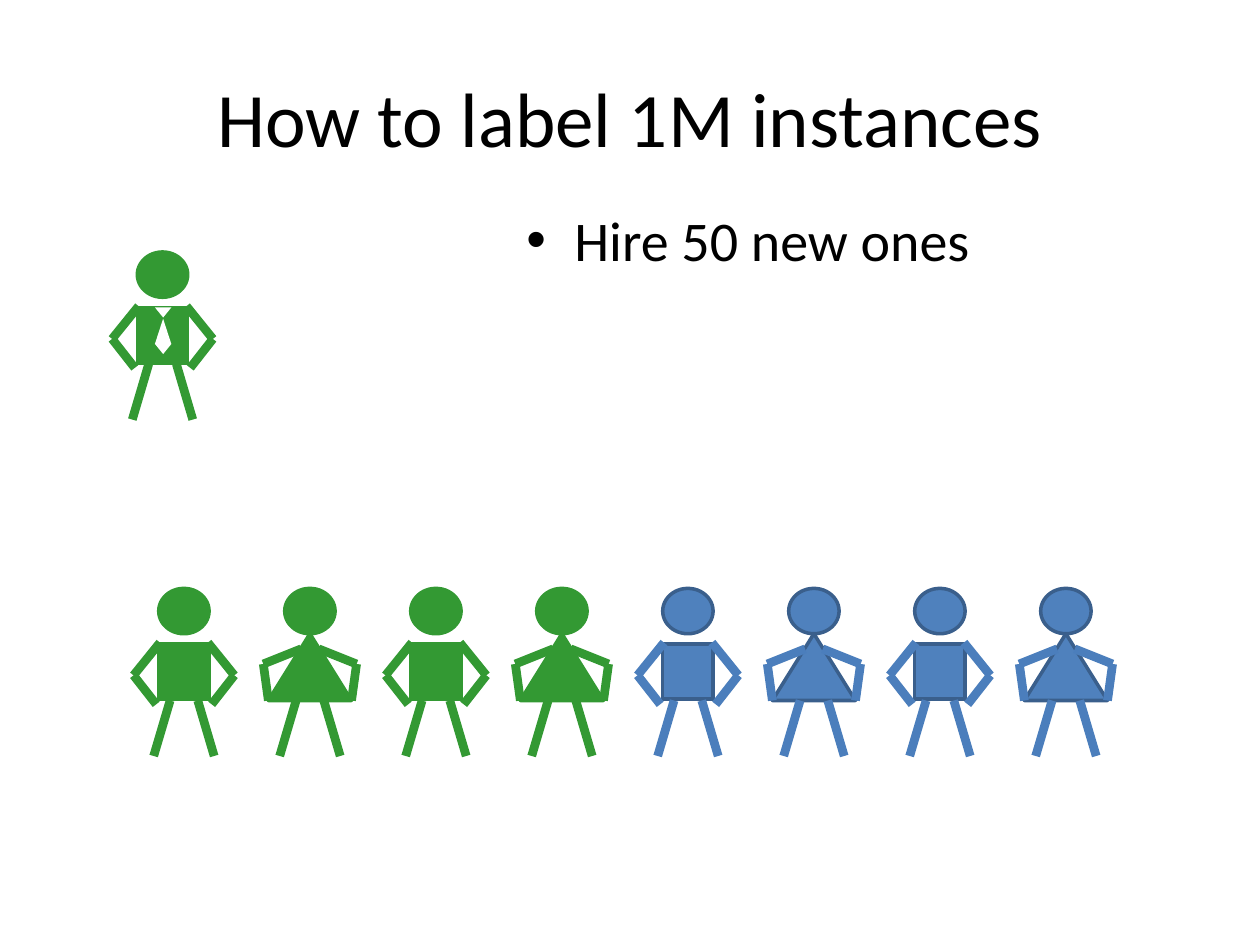
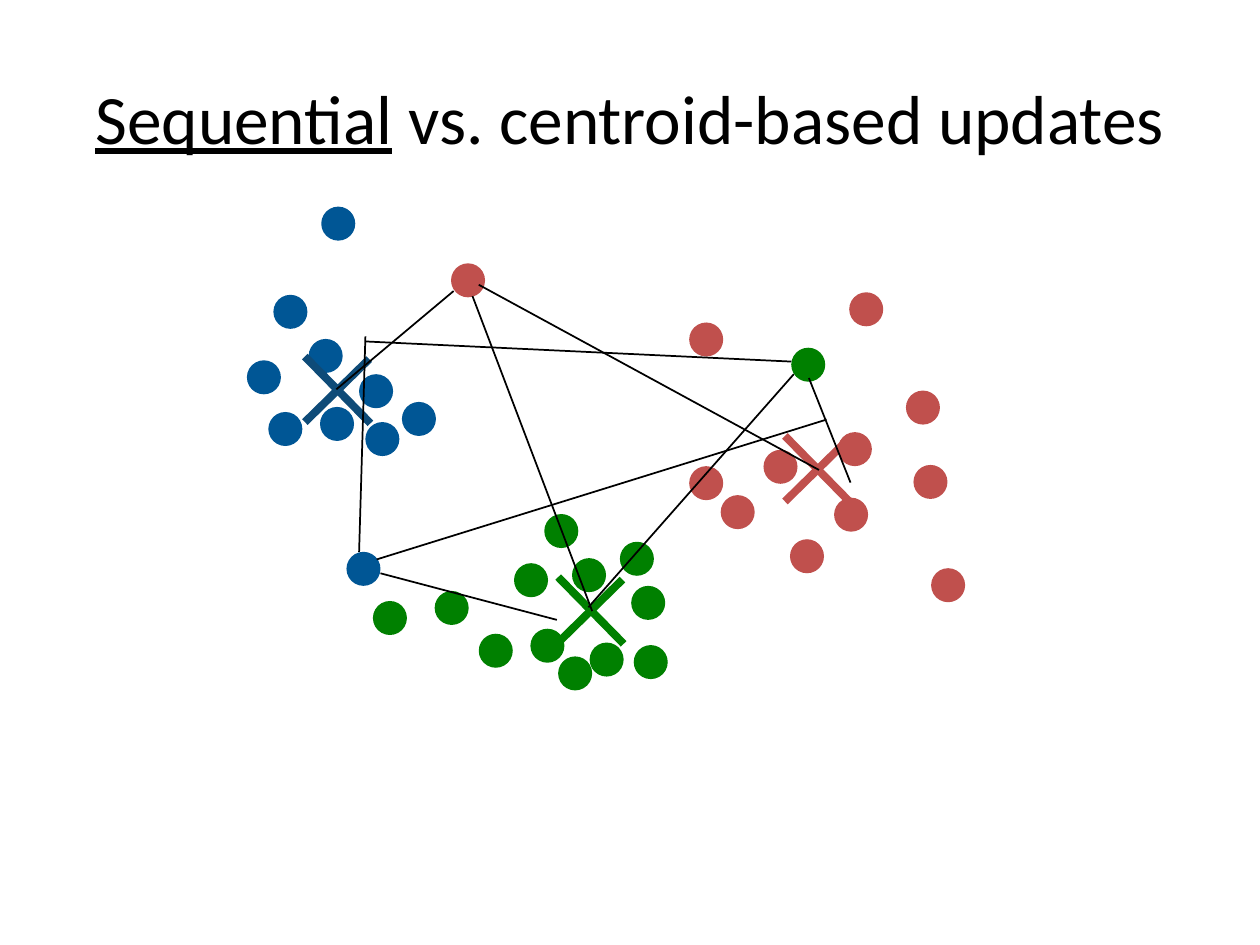
"""Build two slides: hiring labellers, and sequential updates of clusters."""
from lxml import etree
from pptx import Presentation
from pptx import util as u
from pptx.dml import color
from pptx.enum import shapes, text
from pptx.oxml import ns

FONT = "Calibri"
BLACK, WHITE = "000000", "FFFFFF"
STAFF_GREEN = {"fill": "339933", "outline": "339933", "limb": "339933"}
HIRED_BLUE = {"fill": "4F81BD", "outline": "3A5F8C", "limb": "4B7EBC"}
BLUE, RED, GREEN = "005695", "C0504D", "008000"
DARK_BLUE = "0E4B78"
DOT_SIZE = 0.27

BACK_DOTS = {
    BLUE: [(2.9, 3.35), (2.17, 2.34), (1.96, 2.86), (2.45, 2.69), (2.13, 3.27)],
    RED: [(6.65, 3.43), (6.62, 3.95), (7.25, 3.69), (6.27, 4.28), (5.47, 2.56),
          (6.74, 2.32), (3.58, 2.09), (5.47, 3.7), (5.72, 3.93), (6.06, 3.57),
          (7.19, 3.1), (7.39, 4.51)],
    GREEN: [(6.28, 2.76), (3.8, 5.03), (4.54, 4.43), (4.08, 4.47), (4.68, 5.1),
            (4.21, 4.99), (4.43, 5.21)],
}
FRONT_DOTS = {
    BLUE: [(2.75, 4.38), (2.54, 3.23), (2.85, 2.97), (3.19, 3.19), (2.55, 1.64)],
    GREEN: [(3.45, 4.69), (2.96, 4.77), (5.01, 4.65), (4.32, 4.08), (4.92, 4.3),
            (5.03, 5.12)],
}
CENTROIDS = [(6.23, 3.46, RED), (2.42, 2.83, DARK_BLUE), (4.43, 4.58, GREEN)]
DISTANCES = [
    [((3.6, 2.31), (2.67, 3.09)), ((6.5, 3.73), (3.8, 2.26)), ((4.7, 4.85), (3.75, 2.35))],
    [((6.3, 2.97), (4.67, 4.82)), ((6.42, 3), (6.75, 3.83)), ((6.28, 2.87), (2.9, 2.71))],
    [((2.9, 2.67), (2.85, 4.38)), ((4.42, 4.92), (3.02, 4.55)), ((6.56, 3.33), (2.99, 4.44))],
]


def length(inches):
    """Turn inches into a slide length."""
    return u.Cm(inches * 2.54)


def rgb(value):
    """Turn a hex string into a colour."""
    return color.RGBColor.from_string(value)


def add_bullet(paragraph, indent):
    """Give a paragraph a hanging round bullet."""
    properties = paragraph._p.get_or_add_pPr()
    properties.set("marL", str(length(indent)))
    properties.set("indent", str(-length(indent)))
    etree.SubElement(properties, ns.qn("a:buFont"), typeface="Arial")
    etree.SubElement(properties, ns.qn("a:buChar"), char="•")


def add_text(slide, runs, box, size, align=text.PP_ALIGN.LEFT,
             anchor=text.MSO_ANCHOR.TOP, bullet_indent=None):
    """Add one paragraph made of (words, underlined) runs."""
    frame = slide.shapes.add_textbox(*map(length, box)).text_frame
    frame.word_wrap = True
    frame.vertical_anchor = anchor
    paragraph = frame.paragraphs[0]
    paragraph.alignment = align
    if bullet_indent:
        add_bullet(paragraph, bullet_indent)
    for words, underlined in runs:
        run = paragraph.add_run()
        run.text = words
        run.font.name = FONT
        run.font.size = u.Pt(size)
        run.font.underline = underlined
        run.font.color.rgb = rgb(BLACK)


def add_title(slide, runs, size):
    """Add the centred slide title."""
    add_text(slide, runs, (0.5, 0.3, 9, 1.25), size,
             align=text.PP_ALIGN.CENTER, anchor=text.MSO_ANCHOR.MIDDLE)


def add_form(parent, kind, box, fill, outline=None, rotation=0):
    """Add a filled preset shape, outlined if a colour is given."""
    shape = parent.shapes.add_shape(kind, *map(length, box))
    shape.shadow.inherit = False
    shape.rotation = rotation
    shape.fill.solid()
    shape.fill.fore_color.rgb = rgb(fill)
    if outline:
        shape.line.color.rgb = rgb(outline)
        shape.line.width = u.Pt(2)
    else:
        shape.line.fill.background()


def add_line(parent, start, end, stroke, width):
    """Add a straight line between two points."""
    connector = parent.shapes.add_connector(
        shapes.MSO_CONNECTOR.STRAIGHT, *map(length, (*start, *end)))
    connector.line.color.rgb = rgb(stroke)
    connector.line.width = u.Pt(width)
    etree.SubElement(connector._element.spPr, ns.qn("a:effectLst"))


def add_person(slide, center, top, palette, skirt=False):
    """Add a grouped stick person with a square body or a skirt."""
    person = slide.shapes.add_group_shape()
    paint = palette["fill"], palette["outline"]
    add_form(person, shapes.MSO_SHAPE.OVAL, (center - 0.2, top, 0.4, 0.36), *paint)
    if skirt:
        add_form(person, shapes.MSO_SHAPE.ISOSCELES_TRIANGLE,
                 (center - 0.33, top + 0.36, 0.66, 0.53), *paint)
        arm = [(0.07, 0.48), (0.37, 0.6), (0.33, 0.89)]
    else:
        add_form(person, shapes.MSO_SHAPE.RECTANGLE,
                 (center - 0.2, top + 0.44, 0.4, 0.44), *paint)
        arm = [(0.19, 0.43), (0.4, 0.69), (0.22, 0.92)]
    leg = [(0.11, 0.89), (0.24, 1.33)]
    for side in (1, -1):
        for limb in (arm, leg):
            joints = [(center + side * x, top + y) for x, y in limb]
            for start, end in zip(joints, joints[1:]):
                add_line(person, start, end, palette["limb"], 5)


def add_tie(slide, center, top):
    """Add a white tie: a knot, a blade and a tip."""
    tie = slide.shapes.add_group_shape()
    for offset, height, rotation in ((0.09, 0.2, 0), (0.29, 0.08, 180), (0, 0.08, 180)):
        add_form(tie, shapes.MSO_SHAPE.ISOSCELES_TRIANGLE,
                 (center - 0.06, top + offset, 0.13, height), WHITE, rotation=rotation)


def add_dots(slide, clusters):
    """Add the dots of each coloured cluster."""
    for fill, corners in clusters.items():
        for left, top in corners:
            add_form(slide, shapes.MSO_SHAPE.OVAL, (left, top, DOT_SIZE, DOT_SIZE), fill)


def add_centroid(slide, left, top, stroke):
    """Add a cross that marks the centre of a cluster."""
    cross = slide.shapes.add_group_shape()
    add_line(cross, (left, top), (left + 0.52, top + 0.53), stroke, 4.5)
    add_line(cross, (left, top + 0.52), (left + 0.51, top + 0.02), stroke, 4.5)


def build_hiring_slide(slide):
    """Show the manager, the present staff and the new staff."""
    add_title(slide, [("How to label 1M instances", False)], 44)
    add_person(slide, 1.29, 2, STAFF_GREEN)
    add_tie(slide, 1.29, 2.44)
    add_text(slide, [("Hire 50 new ones", False)], (4.08, 1.58, 5.58, 2.58), 32,
             bullet_indent=0.38)
    for place in range(8):
        palette = STAFF_GREEN if place < 4 else HIRED_BLUE
        add_person(slide, 1.46 + place, 4.67, palette, skirt=place % 2 == 1)


def build_cluster_slide(slide):
    """Show three clusters and the distances to their centroids."""
    add_title(slide, [("Sequential", True), (" vs. centroid-based updates", False)], 39.6)
    add_dots(slide, BACK_DOTS)
    for left, top, stroke in CENTROIDS:
        add_centroid(slide, left, top, stroke)
    add_dots(slide, FRONT_DOTS)
    for segments in DISTANCES:
        group = slide.shapes.add_group_shape()
        for start, end in segments:
            add_line(group, start, end, BLACK, 1)


def main():
    """Build and save the presentation."""
    presentation = Presentation()
    presentation.slide_width = length(10)
    presentation.slide_height = length(7.5)
    blank = presentation.slide_layouts[6]
    for build in (build_hiring_slide, build_cluster_slide):
        build(presentation.slides.add_slide(blank))
    presentation.save("out.pptx")


if __name__ == "__main__":
    main()
